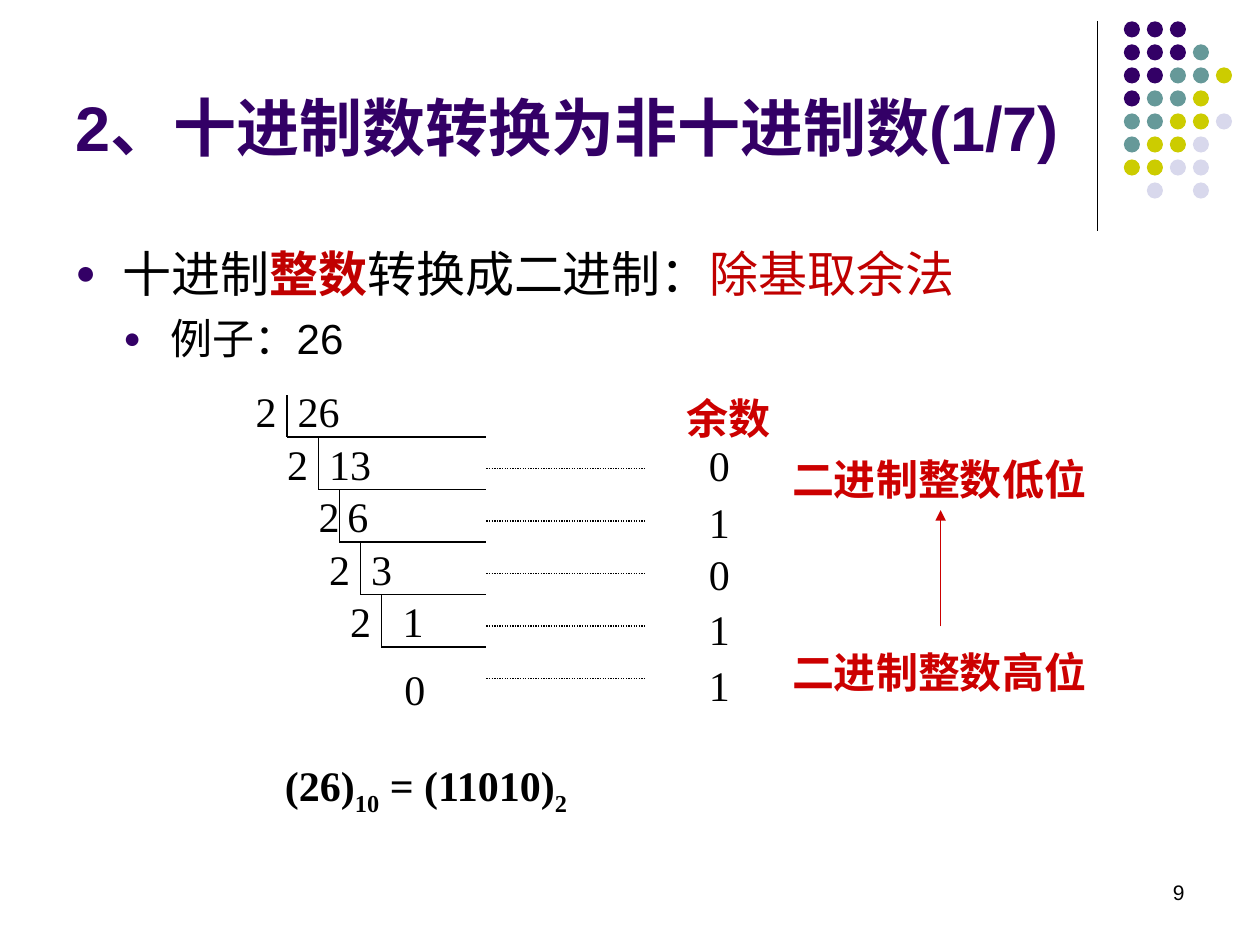
from dataclasses import dataclass

from lxml import etree
from pptx import Presentation
from pptx.dml.color import RGBColor
from pptx.enum.dml import MSO_LINE
from pptx.enum.shapes import MSO_CONNECTOR, MSO_SHAPE
from pptx.enum.text import MSO_ANCHOR, MSO_AUTO_SIZE, PP_ALIGN
from pptx.oxml.ns import qn
from pptx.util import Pt

STRAIGHT = MSO_CONNECTOR.STRAIGHT
OVAL = MSO_SHAPE.OVAL
DOTTED = MSO_LINE.ROUND_DOT
TOP, MIDDLE = MSO_ANCHOR.TOP, MSO_ANCHOR.MIDDLE
RIGHT = PP_ALIGN.RIGHT
NO_FIT, GROW = MSO_AUTO_SIZE.NONE, MSO_AUTO_SIZE.SHAPE_TO_FIT_TEXT
BOTTOM_SIDE = 2


@dataclass(frozen=True)
class Theme:
    black: str = "000000"
    purple: str = "330066"
    teal: str = "669999"
    yellow: str = "CCCC00"
    lavender: str = "D8D8EC"
    dark_red: str = "C00000"
    red: str = "CC0000"
    sans: str = "Arial"
    serif: str = "Times New Roman"
    cjk: str = "Noto Sans CJK SC"
    title: float = 36
    point: float = 28
    body: float = 24
    footer: float = 12
    line: float = 0.75


THEME = Theme()

DOT_ROWS = ["PPP", "PPPT", "PPTTY", "PTTY", "TTYYL", "TYYL", "YYLL", " L L"]
DOT_COLORS = {"P": THEME.purple, "T": THEME.teal,
              "Y": THEME.yellow, "L": THEME.lavender}

# Dividend, then left of: divisor text, vertical bar, dividend text
DIVISIONS = [("26", 139, 164, 163), ("13", 157, 182, 181), ("6", 175, 194, 191.5),
             ("3", 181, 206, 205), ("1", 193, 218, 223)]
SHELF_TOP, SHELF_RIGHT, STEP = 249.75, 278, 30
# Remainder and top of its text
REMAINDERS = [("0", 247.5), ("1", 280), ("0", 309.75), ("1", 341.5), ("1", 373.25)]


def add_run(paragraph, text, size, color=THEME.black, font=THEME.sans,
            bold=False, baseline=None):
    run = paragraph.add_run()
    run.text = text
    run.font.size = Pt(size)
    run.font.bold = bold
    run.font.color.rgb = RGBColor.from_string(color)
    run.font.name = font
    properties = run.font._element
    etree.SubElement(properties, qn("a:ea"), typeface=THEME.cjk)
    if baseline:
        properties.set("baseline", str(baseline))


def add_frame(slide, left, top, width, height, wrap=True, anchor=TOP, fit=NO_FIT):
    box = slide.shapes.add_textbox(Pt(left), Pt(top), Pt(width), Pt(height))
    frame = box.text_frame
    frame.word_wrap = wrap
    frame.auto_size = fit
    frame.vertical_anchor = anchor
    return box


def add_label(slide, text, left, top, width=27, color=THEME.black, bold=False):
    label = add_frame(slide, left, top, width, 36, wrap=False, fit=GROW)
    add_run(label.text_frame.paragraphs[0], text, THEME.body, color,
            THEME.serif, bold)
    return label


def add_line(slide, x1, y1, x2, y2, color=THEME.black, dash=None):
    line = slide.shapes.add_connector(STRAIGHT, Pt(x1), Pt(y1), Pt(x2), Pt(y2))
    line.line.width = Pt(THEME.line)
    line.line.color.rgb = RGBColor.from_string(color)
    if dash:
        line.line.dash_style = dash
    etree.SubElement(line._element.spPr, qn("a:effectLst"))
    return line


def set_bullet(paragraph, level, margin):
    paragraph.level = level
    properties = paragraph._p.get_or_add_pPr()
    properties.set("marL", str(Pt(margin)))
    properties.set("indent", str(Pt(-27)))
    color = etree.SubElement(properties, qn("a:buClr"))
    etree.SubElement(color, qn("a:srgbClr"), val=THEME.purple)
    etree.SubElement(properties, qn("a:buSzPct"), val="70000")
    etree.SubElement(properties, qn("a:buFont"), typeface=THEME.sans)
    etree.SubElement(properties, qn("a:buChar"), char="●")


def add_corner_dots(slide):
    add_line(slide, 627, 12, 627, 132)
    for row, codes in enumerate(DOT_ROWS):
        for column, code in enumerate(codes):
            if code == " ":
                continue
            dot = slide.shapes.add_shape(OVAL, Pt(642.2 + 13.15 * column),
                                         Pt(12.2 + 13.15 * row), Pt(9.2), Pt(9.2))
            dot.shadow.inherit = False
            dot.fill.solid()
            dot.fill.fore_color.rgb = RGBColor.from_string(DOT_COLORS[code])
            dot.line.fill.background()


def add_headings(slide):
    title = add_frame(slide, 36, 21, 589, 102, anchor=MIDDLE).text_frame
    add_run(title.paragraphs[0], "2、十进制数转换为非十进制数(1/7)",
            THEME.title, THEME.purple, bold=True)

    body = add_frame(slide, 36, 135.5, 648, 347).text_frame
    method = body.paragraphs[0]
    set_bullet(method, 0, 27)
    add_run(method, "十进制", THEME.point)
    add_run(method, "整数", THEME.point, THEME.dark_red, bold=True)
    add_run(method, "转换成二进制：", THEME.point)
    add_run(method, "除基取余法", THEME.point, THEME.dark_red, THEME.cjk)
    example = body.add_paragraph()
    set_bullet(example, 1, 54.5)
    example.space_before = Pt(6)
    add_run(example, "例子：26", THEME.body)


def add_division(slide):
    for step, (dividend, divisor_x, bar_x, dividend_x) in enumerate(DIVISIONS):
        shelf = SHELF_TOP + STEP * step
        bar_top = shelf - (STEP if step else 24)
        add_line(slide, bar_x, bar_top, bar_x, shelf)
        add_line(slide, bar_x, shelf, SHELF_RIGHT, shelf)
        add_label(slide, "2", divisor_x, shelf - 32.75)
        add_label(slide, dividend, dividend_x, shelf - 32.75, 15 + 12.5 * len(dividend))
        leader = shelf + 18
        add_line(slide, SHELF_RIGHT, leader, SHELF_RIGHT + 90, leader, dash=DOTTED)
    add_label(slide, "0", 224, 375.75)
    # Small tick above the first shelf
    add_line(slide, 248.25, 237.75, 248.25, 237.75)


def add_remainders(slide):
    add_label(slide, "余数", 385, 221, 64, THEME.red, bold=True)
    for remainder, top in REMAINDERS:
        add_label(slide, remainder, 398, top)

    # Reading order, from the last remainder up to the first
    add_label(slide, "二进制整数高位", 445.5, 366, 184, THEME.red, bold=True)
    low_bit = add_label(slide, "二进制整数低位", 445.5, 255.5, 184, THEME.red, bold=True)
    arrow = add_line(slide, 537.5, 358, 537.5, 291.5, THEME.red)
    arrow.end_connect(low_bit, BOTTOM_SIDE)
    etree.SubElement(arrow.line._get_or_add_ln(), qn("a:tailEnd"), type="triangle")


def add_result(slide):
    frame = add_frame(slide, 155.75, 430.5, 300, 40, fit=GROW).text_frame
    for text, baseline in [("(26)", None), ("10", -25000),
                           (" = (11010)", None), ("2", -25000)]:
        add_run(frame.paragraphs[0], text, THEME.body, font=THEME.serif,
                bold=True, baseline=baseline)


def add_page_number(slide):
    frame = add_frame(slide, 516, 492, 168, 36, anchor=MIDDLE).text_frame
    frame.paragraphs[0].alignment = RIGHT
    add_run(frame.paragraphs[0], "9", THEME.footer)


def main():
    deck = Presentation()
    deck.slide_width, deck.slide_height = Pt(720), Pt(540)
    slide = deck.slides.add_slide(deck.slide_layouts[6])
    add_corner_dots(slide)
    add_headings(slide)
    add_division(slide)
    add_remainders(slide)
    add_result(slide)
    add_page_number(slide)
    deck.save("out.pptx")


if __name__ == "__main__":
    main()
